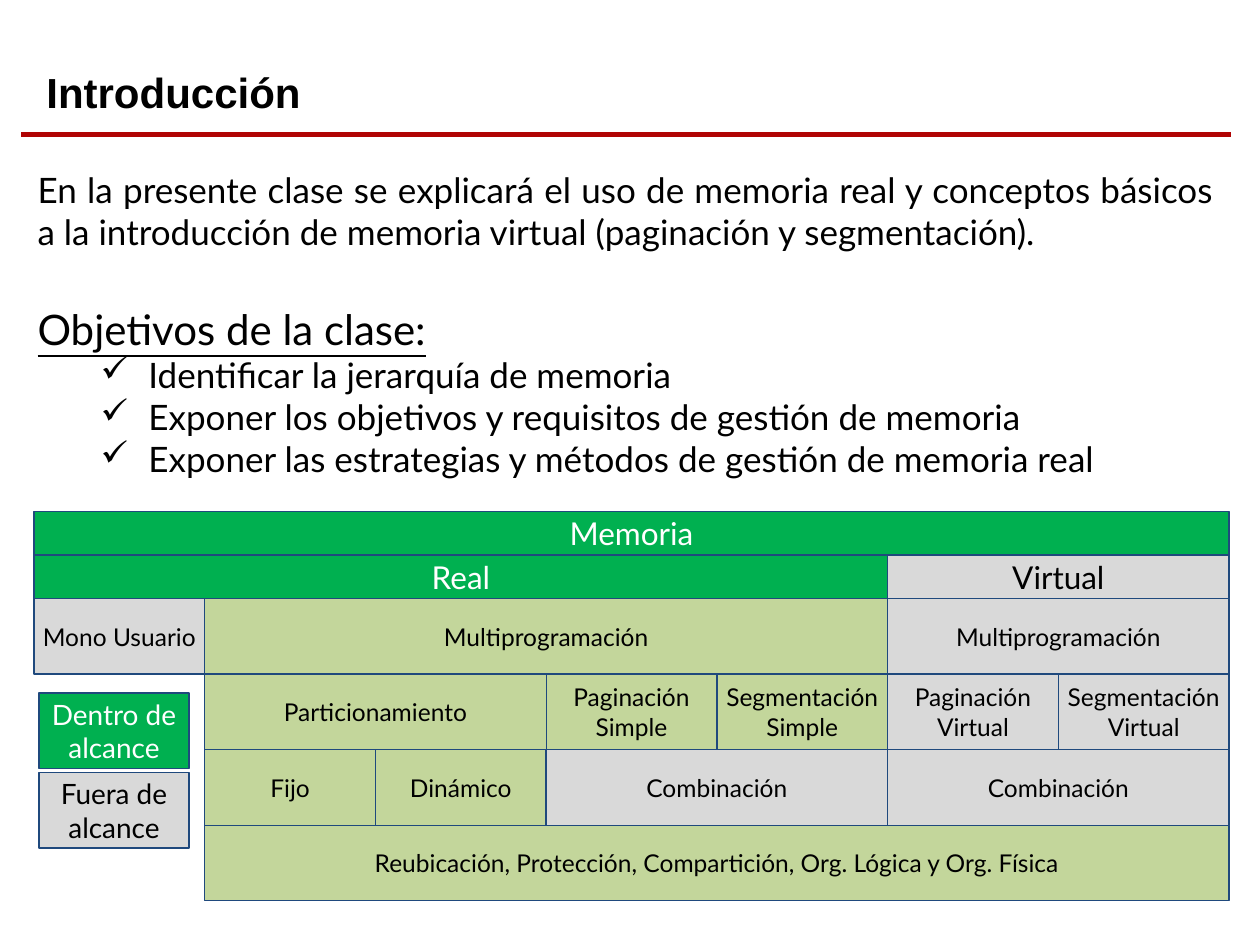
from dataclasses import dataclass

from lxml.etree import SubElement
from pptx import Presentation
from pptx.dml.color import RGBColor
from pptx.enum.shapes import MSO_CONNECTOR, MSO_SHAPE
from pptx.enum.text import MSO_ANCHOR, PP_ALIGN
from pptx.oxml.ns import qn
from pptx.util import Inches, Pt

WIDE, HIGH = 10, 7.5
BLACK, WHITE, RED, NAVY = "000000", "FFFFFF", "B00404", "1F497D"
GREEN, LIME, GRAY = "00B050", "C3D69B", "D9D9D9"

LEFT, TOP, COL = 0.27, 4.06, 1.355
ROWS = [0.345, 0.345, 0.6, 0.6, 0.6, 0.6]


@dataclass
class Cell:
    text: str
    row: int
    col: int
    span: int
    fill: str = GRAY
    size: int = 14


@dataclass
class Line:
    text: str
    size: int = 20
    before: int = 0
    under: bool = False
    tick: bool = False


CELLS = [
    Cell("Memoria", 0, 0, 7, GREEN, 18),
    Cell("Real", 1, 0, 5, GREEN, 18),
    Cell("Virtual", 1, 5, 2, GRAY, 18),
    Cell("Mono Usuario", 2, 0, 1),
    Cell("Multiprogramación", 2, 1, 4, LIME),
    Cell("Multiprogramación", 2, 5, 2),
    Cell("Particionamiento", 3, 1, 2, LIME),
    Cell("Paginación Simple", 3, 3, 1, LIME),
    Cell("Segmentación Simple", 3, 4, 1, LIME),
    Cell("Paginación Virtual", 3, 5, 1),
    Cell("Segmentación Virtual", 3, 6, 1),
    Cell("Fijo", 4, 1, 1, LIME),
    Cell("Dinámico", 4, 2, 1, LIME),
    Cell("Combinación", 4, 3, 2),
    Cell("Combinación", 4, 5, 2),
    Cell("Reubicación, Protección, Compartición, Org. Lógica y Org. Física",
         5, 1, 6, LIME),
]
KEYS = [("Dentro de alcance", GREEN), ("Fuera de alcance", GRAY)]
LINES = [
    Line("En la presente clase se explicará el uso de memoria real y conceptos "
         "básicos a la introducción de memoria virtual (paginación y segmentación)."),
    Line("Objetivos de la clase:", 24, before=29, under=True),
    Line("Identificar la jerarquía de memoria", tick=True),
    Line("Exponer los objetivos y requisitos de gestión de memoria", tick=True),
    Line("Exponer las estrategias y métodos de gestión de memoria real", tick=True),
]


def tint(code: str) -> RGBColor:
    return RGBColor.from_string(code)


def write(para, text: str, size: int, color: str = BLACK, face: str = "Lato"):
    run = para.add_run()
    run.text = text
    font = run.font
    font.name, font.size = face, Pt(size)
    font.color.rgb = tint(color)
    return run


def draw_box(slide, text: str, place: tuple, fill: str, size: int) -> None:
    box = slide.shapes.add_shape(MSO_SHAPE.RECTANGLE, *map(Inches, place))
    box.shadow.inherit = False
    box.fill.solid()
    box.fill.fore_color.rgb = tint(fill)
    box.line.color.rgb = tint(NAVY)
    box.line.width = Pt(0.75)
    frame = box.text_frame
    frame.word_wrap = True
    frame.vertical_anchor = MSO_ANCHOR.MIDDLE
    frame.margin_left = frame.margin_right = Inches(0.04)
    frame.margin_top = frame.margin_bottom = Inches(0.04)
    para = frame.paragraphs[0]
    para.alignment = PP_ALIGN.CENTER
    write(para, text, size, WHITE if fill == GREEN else BLACK)


def draw_cell(slide, cell: Cell) -> None:
    place = (LEFT + cell.col * COL, TOP + sum(ROWS[:cell.row]),
             cell.span * COL, ROWS[cell.row])
    draw_box(slide, cell.text, place, cell.fill, cell.size)


def add_frame(slide, *place: float):
    frame = slide.shapes.add_textbox(*map(Inches, place)).text_frame
    frame.word_wrap = True
    return frame


def draw_title(slide) -> None:
    rule = slide.shapes.add_connector(
        MSO_CONNECTOR.STRAIGHT, Inches(0.17), Inches(1.07), Inches(9.77), Inches(1.07))
    rule.line.color.rgb = tint(RED)
    rule.line.width = Pt(3)
    SubElement(rule._element.spPr, qn("a:effectLst"))
    frame = add_frame(slide, 0.27, 0.48, 5.67, 0.5)
    frame.vertical_anchor = MSO_ANCHOR.BOTTOM
    write(frame.paragraphs[0], "Introducción", 24, face="Arial").font.bold = True


def add_tick(para) -> None:
    props = para._p.get_or_add_pPr()
    props.set("marL", str(Inches(0.88)))
    props.set("indent", str(Inches(-0.38)))
    SubElement(props, qn("a:buChar")).set("char", "✓")


def draw_body(slide) -> None:
    frame = add_frame(slide, 0.2, 1.29, 9.53, 2.59)
    for i, line in enumerate(LINES):
        para = frame.add_paragraph() if i else frame.paragraphs[0]
        para.alignment = PP_ALIGN.JUSTIFY
        if line.before:
            para.space_before = Pt(line.before)
        if line.tick:
            para.level = 1
            add_tick(para)
        run = write(para, line.text, line.size)
        if line.under:
            run.font.underline = True


def main() -> None:
    deck = Presentation()
    deck.slide_width, deck.slide_height = Inches(WIDE), Inches(HIGH)
    slide = deck.slides.add_slide(deck.slide_layouts[6])
    draw_title(slide)
    draw_body(slide)
    for cell in CELLS:
        draw_cell(slide, cell)
    for i, (text, fill) in enumerate(KEYS):
        draw_box(slide, text, (0.31, 5.5 + i * 0.63, 1.19, 0.6), fill, 16)
    deck.save("out.pptx")


if __name__ == "__main__":
    main()
